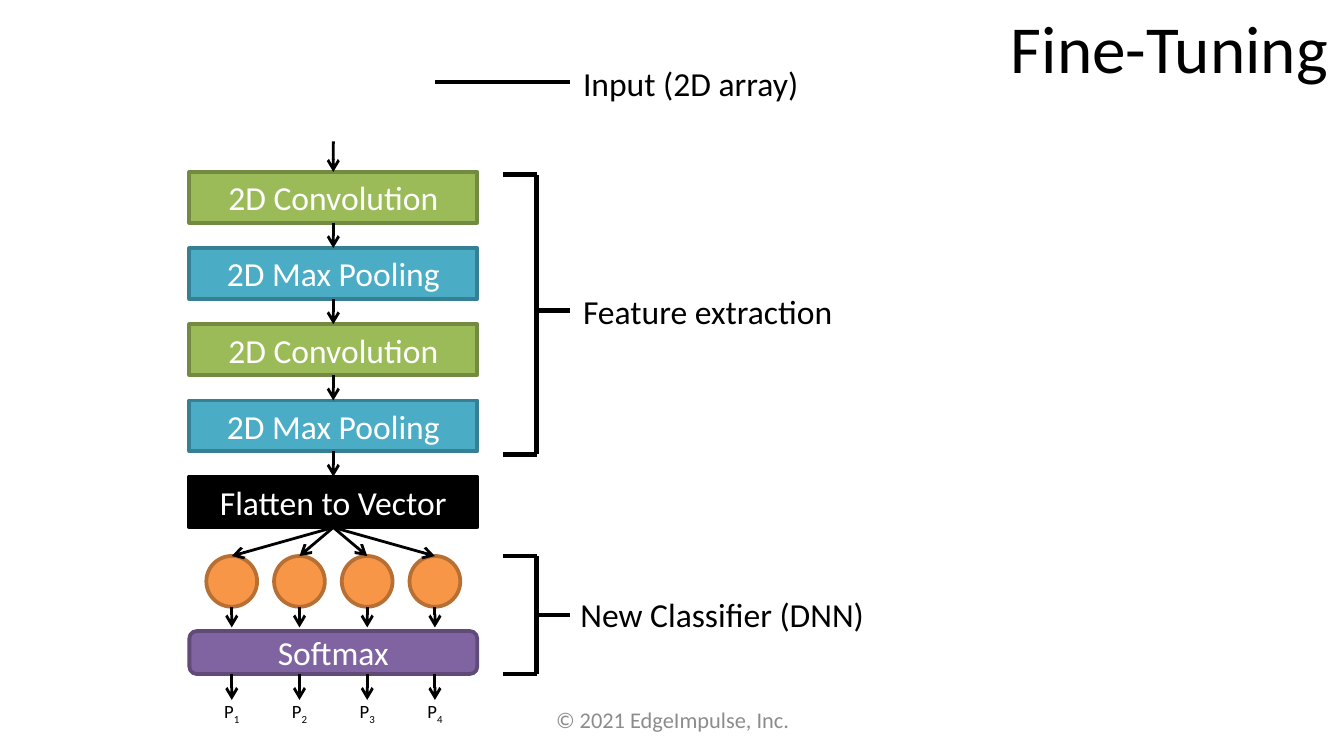
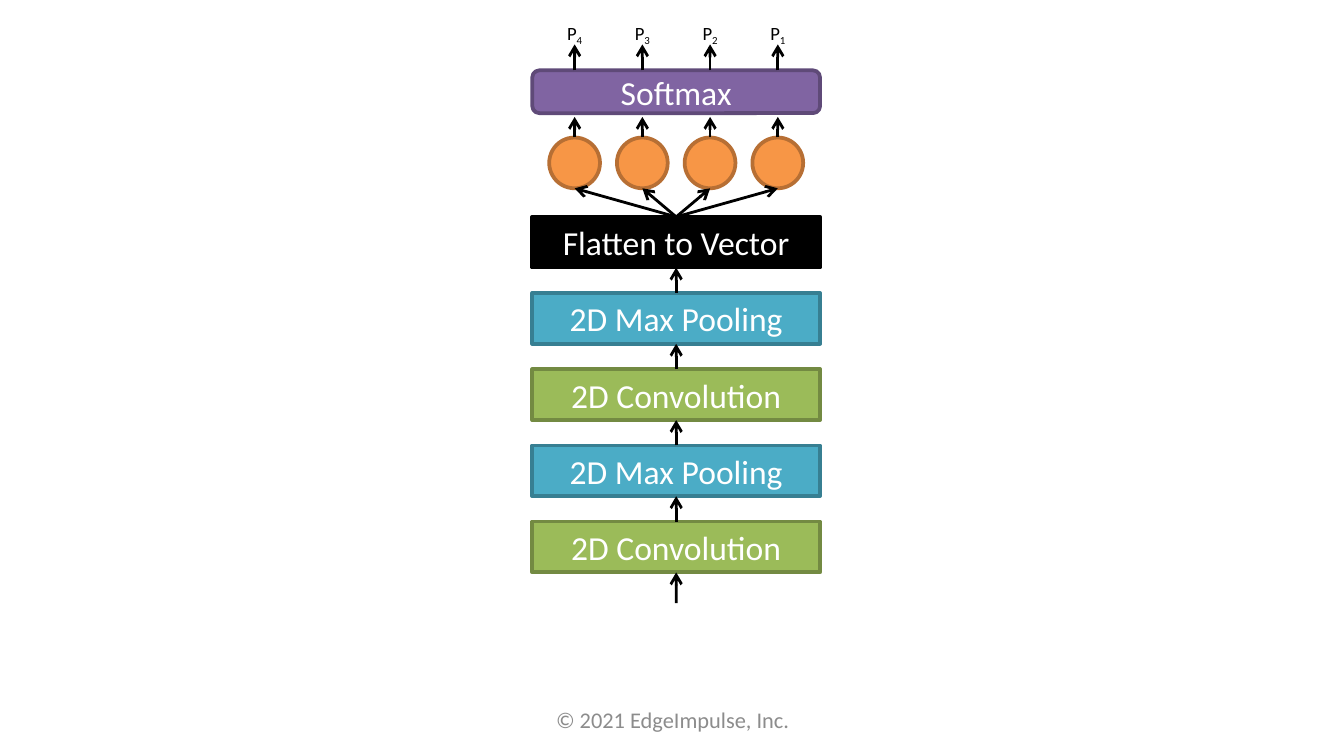
from dataclasses import dataclass

from lxml import etree
from pptx import Presentation
from pptx.dml.color import RGBColor
from pptx.enum.shapes import MSO_CONNECTOR, MSO_SHAPE
from pptx.enum.text import MSO_ANCHOR, MSO_AUTO_SIZE, PP_ALIGN
from pptx.oxml.ns import qn
from pptx.util import Cm, Pt

STRAIGHT = MSO_CONNECTOR.STRAIGHT
RECTANGLE = MSO_SHAPE.RECTANGLE
ROUNDED = MSO_SHAPE.ROUNDED_RECTANGLE
OVAL = MSO_SHAPE.OVAL
TOP, MIDDLE = MSO_ANCHOR.TOP, MSO_ANCHOR.MIDDLE
LEFT, CENTER = PP_ALIGN.LEFT, PP_ALIGN.CENTER
GROW = MSO_AUTO_SIZE.SHAPE_TO_FIT_TEXT
NO_FIT = MSO_AUTO_SIZE.NONE
TOP_SIDE, BOTTOM_SIDE = 0, 2


@dataclass(frozen=True)
class Theme:
    font: str = "Calibri"
    ink: str = "000000"
    paper: str = "FFFFFF"
    muted: str = "8C8C8C"
    convolution: tuple = ("9BBB59", "738A42")
    pooling: tuple = ("4BACC6", "377F92")
    flatten: tuple = ("000000", "000000")
    neuron: tuple = ("F79646", "B76F34")
    softmax: tuple = ("8064A2", "5F4A78")
    title_size: int = 36
    label_size: int = 18
    footer_size: int = 12
    probability_size: int = 10
    outline: float = 2
    arrow: float = 1.5
    bracket: float = 2.25


THEME = Theme()

LAYERS = [
    ("2D Convolution", THEME.convolution),
    ("2D Max Pooling", THEME.pooling),
    ("2D Convolution", THEME.convolution),
    ("2D Max Pooling", THEME.pooling),
    ("Flatten to Vector", THEME.flatten),
]
LAYER_WIDTH, LAYER_HEIGHT, LAYER_PITCH = 5.44, 0.96, 1.44
FIRST_LAYER = 0.58
NEURON_COUNT, NEURON_SIZE, NEURON_PITCH = 4, 0.96, 1.28
NEURON_START = 7.84
SOFTMAX_START, SOFTMAX_HEIGHT = 9.26, 0.81
PROBABILITY_START, PROBABILITY_HEIGHT = 10.56, 0.43
BRACKET_LEFT, BRACKET_SPINE, BRACKET_TIP = 9.5, 10.14, 10.77


def style_text(paragraph, size, color, align=LEFT):
    paragraph.alignment = align
    paragraph.font.name = THEME.font
    paragraph.font.size = Pt(size)
    paragraph.font.color.rgb = RGBColor.from_string(color)


def add_block(shapes, geometry, box, colors, text=""):
    block = shapes.add_shape(geometry, *map(Cm, box))
    fill, outline = colors
    block.shadow.inherit = False
    block.fill.solid()
    block.fill.fore_color.rgb = RGBColor.from_string(fill)
    block.line.color.rgb = RGBColor.from_string(outline)
    block.line.width = Pt(THEME.outline)
    if text:
        frame = block.text_frame
        frame.text = text
        frame.vertical_anchor = MIDDLE
        style_text(frame.paragraphs[0], THEME.label_size, THEME.paper, CENTER)
    return block


def add_line(shapes, start, end, width, arrow=False):
    line = shapes.add_connector(STRAIGHT, *map(Cm, (*start, *end)))
    line.line.color.rgb = RGBColor.from_string(THEME.ink)
    line.line.width = Pt(width)
    properties = line._element.spPr
    if arrow:
        etree.SubElement(properties.find(qn("a:ln")), qn("a:tailEnd"), type="arrow")
    etree.SubElement(properties, qn("a:effectLst"))
    return line


def add_label(shapes, box, text, wrap=True):
    frame = shapes.add_textbox(*map(Cm, box)).text_frame
    frame.word_wrap = wrap
    frame.auto_size = GROW
    frame.text = text
    style_text(frame.paragraphs[0], THEME.label_size, THEME.ink)


def add_probability(shapes, box, number):
    frame = shapes.add_textbox(*map(Cm, box)).text_frame
    frame.margin_left = frame.margin_right = 0
    frame.margin_top = frame.margin_bottom = 0
    frame.word_wrap = True
    frame.auto_size = GROW
    paragraph = frame.paragraphs[0]
    style_text(paragraph, THEME.probability_size, THEME.ink, CENTER)
    paragraph.add_run().text = "P"
    subscript = paragraph.add_run()
    subscript.text = str(number)
    subscript.font._element.set("baseline", "-25000")


def add_bracket(shapes, top, bottom, middle):
    for start, end in [
        ((BRACKET_LEFT, top), (BRACKET_SPINE, top)),
        ((BRACKET_LEFT, bottom), (BRACKET_SPINE, bottom)),
        ((BRACKET_SPINE, bottom), (BRACKET_SPINE, top)),
        ((BRACKET_SPINE, middle), (BRACKET_TIP, middle)),
    ]:
        add_line(shapes, start, end, THEME.bracket)


def add_network(shapes, center, origin, direction):
    entry, leave = (TOP_SIDE, BOTTOM_SIDE)[::direction]

    def point(across, along):
        return center + direction * across, origin + direction * along

    def box(across, along, width, height):
        x, y = point(across, along + height / 2)
        return x - width / 2, y - height / 2, width, height

    def arrow(start, end):
        return add_line(shapes, point(*start), point(*end), THEME.arrow, arrow=True)

    previous, previous_end = None, 0
    for index, (text, colors) in enumerate(LAYERS):
        along = FIRST_LAYER + index * LAYER_PITCH
        layer = add_block(shapes, RECTANGLE, box(0, along, LAYER_WIDTH, LAYER_HEIGHT), colors, text)
        flow = arrow((0, previous_end), (0, along))
        if previous is not None:
            flow.begin_connect(previous, leave)
        flow.end_connect(layer, entry)
        previous, previous_end = layer, along + LAYER_HEIGHT

    softmax_end = SOFTMAX_START + SOFTMAX_HEIGHT
    add_block(shapes, ROUNDED, box(0, SOFTMAX_START, LAYER_WIDTH, SOFTMAX_HEIGHT),
              THEME.softmax, "Softmax")
    for index in range(NEURON_COUNT):
        across = (index - (NEURON_COUNT - 1) / 2) * NEURON_PITCH
        add_block(shapes, OVAL, box(across, NEURON_START, NEURON_SIZE, NEURON_SIZE), THEME.neuron)
        fan = arrow((0, previous_end), (across, NEURON_START))
        fan.begin_connect(previous, leave)
        arrow((across, NEURON_START + NEURON_SIZE), (across, SOFTMAX_START - 0.07))
        arrow((across, softmax_end), (across, PROBABILITY_START))
        width = 1.92 if index else 1.6
        add_probability(shapes, box(across, PROBABILITY_START, width, PROBABILITY_HEIGHT), index + 1)


def add_title(slide, text):
    title = slide.shapes.title
    title.left, title.top, title.width, title.height = map(Cm, (18.85, 0, 6.55, 1.8))
    frame = title.text_frame
    frame.text = text
    frame.word_wrap = False
    frame.auto_size = GROW
    frame.vertical_anchor = TOP
    style_text(frame.paragraphs[0], THEME.title_size, THEME.ink)


def add_footer(slide):
    frame = slide.shapes.add_textbox(*map(Cm, (8.69, 13.23, 8.05, 0.76))).text_frame
    frame.word_wrap = True
    frame.auto_size = NO_FIT
    frame.vertical_anchor = MIDDLE
    frame.text = "© 2021 EdgeImpulse, Inc."
    style_text(frame.paragraphs[0], THEME.footer_size, THEME.muted, CENTER)


def build_fine_tuning(presentation):
    slide = presentation.slides.add_slide(presentation.slide_layouts[5])
    shapes = slide.shapes
    add_title(slide, "Fine-Tuning")
    add_network(shapes, center=6.3, origin=2.67, direction=1)
    add_line(shapes, (8.23, 1.55), (BRACKET_TIP, 1.55), THEME.bracket)
    add_bracket(shapes, 3.3, 8.59, 5.87)
    add_bracket(shapes, 10.51, 12.74, 11.63)
    add_label(shapes, (BRACKET_TIP, 1.07, 5.28, 1.02), "Input (2D array)")
    add_label(shapes, (BRACKET_TIP, 5.38, 10.41, 1.02), "Feature extraction")
    add_label(shapes, (10.72, 11.1, 5.94, 1.02), "New Classifier (DNN)", wrap=False)
    add_footer(slide)


def build_upward_network(presentation):
    slide = presentation.slides.add_slide(presentation.slide_layouts[6])
    network = slide.shapes.add_group_shape()
    add_network(network.shapes, center=12.78, origin=11.4, direction=-1)
    add_footer(slide)


def main():
    presentation = Presentation()
    presentation.slide_width = Cm(25.4)
    presentation.slide_height = Cm(14.29)
    build_fine_tuning(presentation)
    build_upward_network(presentation)
    presentation.save("out.pptx")


if __name__ == "__main__":
    main()
